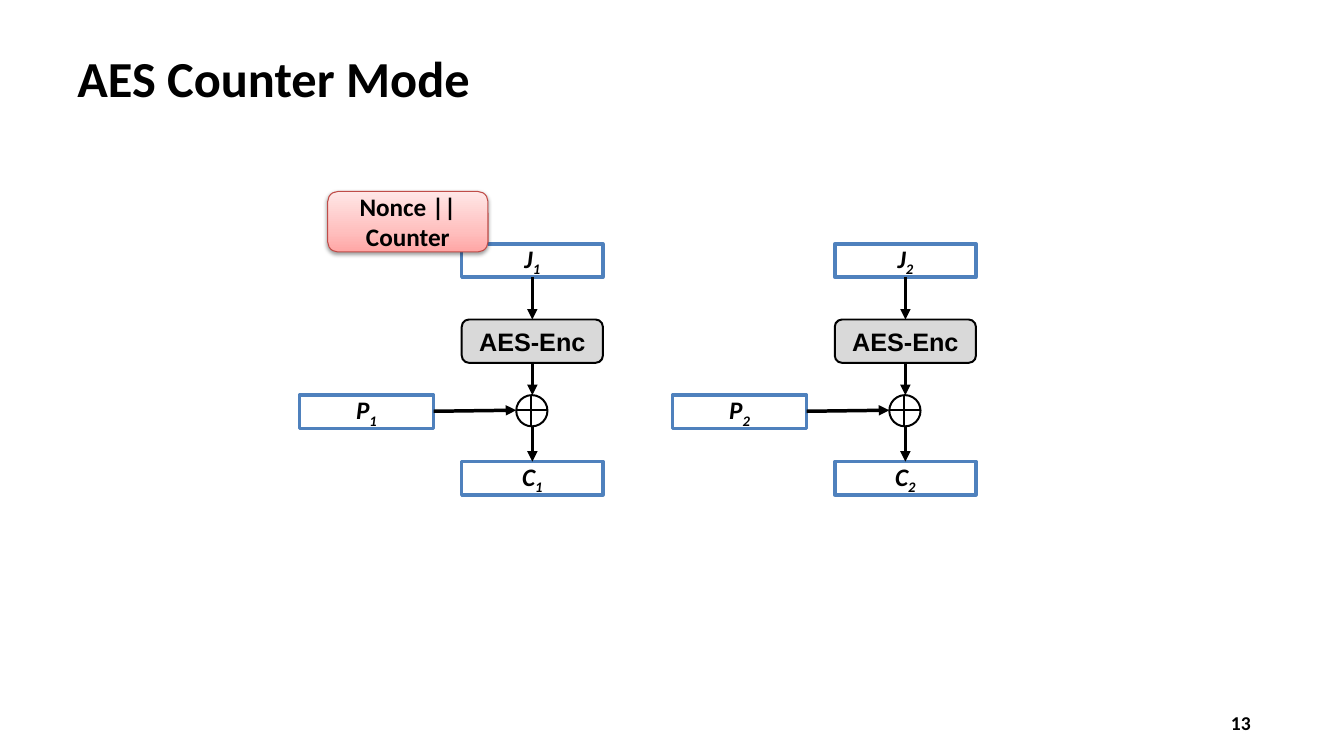
import dataclasses
import typing

import pptx
import pptx.dml.color
import pptx.enum.dml
import pptx.enum.shapes
import pptx.enum.text
import pptx.oxml
import pptx.oxml.ns
import pptx.shapes.autoshape
import pptx.slide
import pptx.util

PX = 9144
COLORS = {
    "black": "000000",
    "white": "FFFFFF",
    "blue": "4F81BD",
    "gray": "D9D9D9",
    "red": "BF4C48",
}
NONCE_STOPS = {0: "FFA6A5", 35000: "FFC0BF", 100000: "FFE7E7"}
KINDS = pptx.enum.shapes.MSO_SHAPE
ANCHORS = pptx.enum.text.MSO_ANCHOR
ALIGNMENTS = pptx.enum.text.PP_ALIGN
CIPHER_INSETS = (11, 7, 11, 6)
BLOCK_INSETS = (9, 5, 9, 5)
PLAIN_INSETS = (10, 5, 10, 5)


@dataclasses.dataclass(frozen=True)
class Block:
    letter: str
    left: int
    top: int
    width: int


@dataclasses.dataclass(frozen=True)
class Arrow:
    start: tuple[int, int]
    end: tuple[int, int]


BLOCKS = [
    Block("J", 458, 242, 140),
    Block("P", 297, 392, 133),
    Block("C", 458, 458, 140),
]
ARROWS = [
    Arrow((528, 359), (528, 392)),
    Arrow((528, 275), (528, 317)),
    Arrow((528, 423), (528, 458)),
    Arrow((430, 408), (512, 407)),
]
STAGE_PITCH = 370


def rgb(name: str) -> pptx.dml.color.RGBColor:
    return pptx.dml.color.RGBColor.from_string(COLORS[name])


def xml(tag: str, attributes: str = "", content: str = "") -> typing.Any:
    namespace = pptx.oxml.ns.nsdecls("a")
    return pptx.oxml.parse_xml(f"<a:{tag} {namespace} {attributes}>{content}</a:{tag}>")


def write_text(box: pptx.shapes.autoshape.Shape, text: str, *, subscript: str = "",
               size: int = 18, font: str = "Calibri", italic: bool = False,
               centered: bool = True, wrap: bool = False,
               insets: tuple[int, int, int, int] = PLAIN_INSETS) -> None:
    frame = box.text_frame
    frame.word_wrap = wrap
    frame.vertical_anchor = ANCHORS.MIDDLE if centered else ANCHORS.TOP
    frame.margin_left, frame.margin_top, frame.margin_right, frame.margin_bottom = (
        inset * PX for inset in insets
    )
    para = frame.paragraphs[0]
    para.alignment = ALIGNMENTS.CENTER if centered else ALIGNMENTS.LEFT
    for content, baseline in ((text, 0), (subscript, -25000)):
        if not content:
            continue
        span = para.add_run()
        span.text = content
        span.font.name = font
        span.font.size = pptx.util.Pt(size)
        span.font.bold = True
        span.font.italic = italic
        span.font.color.rgb = rgb("black")
        if baseline:
            span._r.get_or_add_rPr().set("baseline", str(baseline))


def add_box(shapes: typing.Any, kind: KINDS, left: int, top: int, width: int, height: int,
            *, fill: str = "", line: str = "black",
            weight: float = 1.42) -> pptx.shapes.autoshape.Shape:
    box = shapes.add_shape(kind, left * PX, top * PX, width * PX, height * PX)
    box.shadow.inherit = False
    if fill:
        box.fill.solid()
        box.fill.fore_color.rgb = rgb(fill)
    else:
        box.fill.background()
    box.line.color.rgb = rgb(line)
    box.line.width = pptx.util.Pt(weight)
    return box


def add_line(shapes: typing.Any, start: tuple[int, int], end: tuple[int, int],
             *, weight: float = 1.42, arrowhead: bool = False) -> None:
    points = [length * PX for length in (*start, *end)]
    line = shapes.add_connector(pptx.enum.shapes.MSO_CONNECTOR.STRAIGHT, *points)
    line.line.color.rgb = rgb("black")
    line.line.width = pptx.util.Pt(weight)
    if arrowhead:
        line.get_or_add_ln().append(xml("tailEnd", 'type="triangle"'))
    line.element.spPr.append(xml("effectLst"))


def add_xor(page: pptx.slide.Slide, left: int, top: int, size: int) -> None:
    shapes = page.shapes.add_group_shape().shapes
    middle_x, middle_y = left + size // 2, top + size // 2
    add_box(shapes, KINDS.OVAL, left, top, size, size)
    add_line(shapes, (left, middle_y), (left + size, middle_y))
    add_line(shapes, (middle_x, top), (middle_x, top + size))


def add_stage(page: pptx.slide.Slide, number: int) -> None:
    shift = (number - 1) * STAGE_PITCH
    add_xor(page, 512 + shift, 392, 31)
    cipher = add_box(page.shapes, KINDS.ROUNDED_RECTANGLE, 458 + shift, 317, 140, 43,
                     fill="gray")
    write_text(cipher, "AES-Enc", font="Arial", insets=CIPHER_INSETS)
    for block in BLOCKS:
        box = add_box(page.shapes, KINDS.RECTANGLE, block.left + shift, block.top,
                      block.width, 33, fill="white", line="blue", weight=2.5)
        write_text(box, block.letter, subscript=str(number), italic=True,
                   insets=BLOCK_INSETS)
    for arrow in ARROWS:
        add_line(page.shapes, (arrow.start[0] + shift, arrow.start[1]),
                 (arrow.end[0] + shift, arrow.end[1]), weight=2.5, arrowhead=True)


def add_nonce(page: pptx.slide.Slide) -> None:
    box = add_box(page.shapes, KINDS.ROUNDED_RECTANGLE, 325, 190, 159, 60,
                  line="red", weight=0.75)
    box.fill.gradient()
    box.fill.gradient_angle = 90
    stops = "".join(
        f'<a:gs pos="{position}"><a:srgbClr val="{color}"/></a:gs>'
        for position, color in NONCE_STOPS.items()
    )
    properties = box.element.spPr
    gradient = properties.find(pptx.oxml.ns.qn("a:gradFill"))
    gradient.replace(gradient.find(pptx.oxml.ns.qn("a:gsLst")), xml("gsLst", content=stops))
    shade = f'<a:srgbClr val="{COLORS["black"]}"><a:alpha val="38000"/></a:srgbClr>'
    properties.find(pptx.oxml.ns.qn("a:effectLst")).append(
        xml("outerShdw", 'blurRad="39370" dist="20320" dir="5400000" rotWithShape="0"', shade)
    )
    write_text(box, "Nonce || Counter", wrap=True)


def add_label(page: pptx.slide.Slide, text: str, left: int, top: int, width: int,
              height: int, size: int) -> None:
    box = page.shapes.add_textbox(left * PX, top * PX, width * PX, height * PX)
    write_text(box, text, size=size, centered=False, wrap=True)


def main() -> None:
    deck = pptx.Presentation()
    deck.slide_width = 1333 * PX
    deck.slide_height = 750 * PX
    page = deck.slides.add_slide(deck.slide_layouts[6])
    add_label(page, "AES Counter Mode", 67, 42, 1200, 83, 36)
    add_label(page, "13", 1211, 700, 100, 33, 14)
    for number in (1, 2):
        add_stage(page, number)
    add_nonce(page)
    deck.save("out.pptx")


if __name__ == "__main__":
    main()
